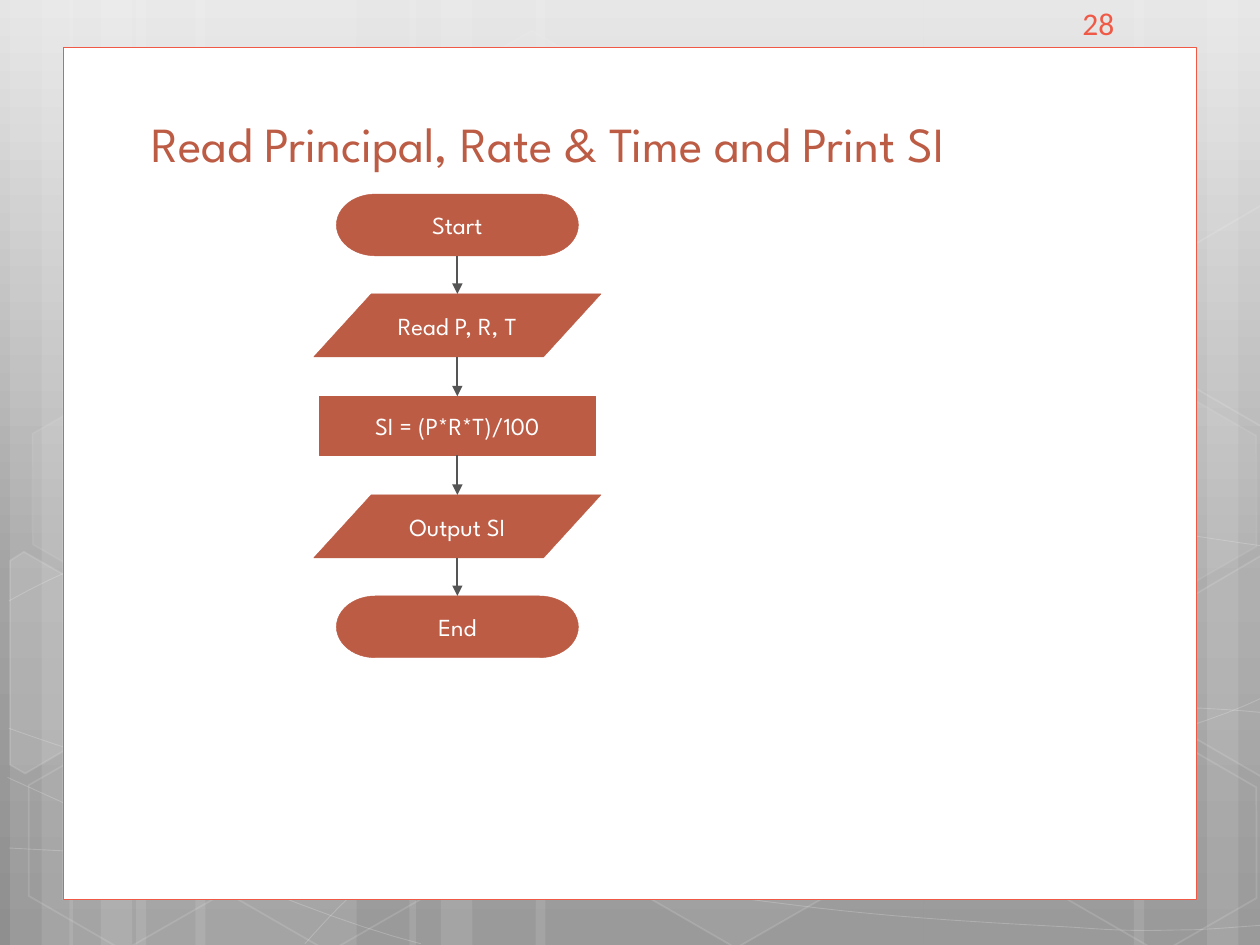
import dataclasses
import itertools

import lxml.etree
import pptx
import pptx.dml.color
import pptx.enum.shapes
import pptx.enum.text
import pptx.oxml
import pptx.oxml.ns
import pptx.util
from pptx.util import Inches

SHAPE = pptx.enum.shapes.MSO_SHAPE
ALIGN = pptx.enum.text.PP_ALIGN
ANCHOR = pptx.enum.text.MSO_ANCHOR
qn = pptx.oxml.ns.qn


@dataclasses.dataclass(frozen=True)
class Theme:
    """Colours, fonts and type sizes of the slide."""
    white: str = "FFFFFF"
    rust: str = "BD5C45"
    coral: str = "EF5946"
    arrow: str = "555555"
    backdrop: tuple = ((0, "E5E5E5"), (62, "A3A3A3"), (100, "8F8F8F"))
    font: str = "League Spartan"
    number_font: str = "Calibri"
    title_size: int = 28
    step_size: int = 14
    number_size: int = 18


THEME = Theme()

BANDS = [(1.08, 1.75), (0.08, 0.5), (0.33, 0.83), (1.55, 1.75), (0.55, 0.5), (0.8, 0.83),
         (7.33, 1.75), (9.58, 0.5), (9, 0.83), (4.25, 3.08), (3.25, 0.5), (3.5, 0.83)]

CURVES = [
    [(0.07, 6.73), (0.61, 6.76), (1.15, 6.79), (1.9, 6.78), (2.65, 6.77), (3.58, 6.75), (4.58, 6.65),
     (5.58, 6.55), (7, 6.36), (7.92, 6.17), (8.83, 5.98), (9.77, 5.68), (10.07, 5.51)],
    [(0.07, 4.77), (0.36, 4.61), (0.65, 4.46), (1.21, 4.31), (1.78, 4.16), (2.59, 3.94), (3.47, 3.87),
     (4.36, 3.8), (5.44, 3.79), (6.54, 3.87), (7.64, 3.95), (9.47, 4.26), (10.07, 4.34)],
    [(0.06, 6.17), (1.27, 6.72), (2.47, 7.27), (3.34, 7.49)],
    [(0.07, 5.78), (0.38, 5.89), (0.7, 6), (1.28, 6.16), (1.86, 6.31), (2.73, 6.56), (3.57, 6.73),
     (4.4, 6.9), (5.45, 7.08), (6.28, 7.18), (7.11, 7.29), (8, 7.33), (8.53, 7.36),
     (9.05, 7.4), (9.19, 7.38), (9.45, 7.38), (9.71, 7.37), (9.89, 7.35), (10.07, 7.34)],
    [(2.42, 7.49), (2.6, 7.29), (2.78, 7.09), (3.02, 6.91), (3.26, 6.73), (3.6, 6.53), (3.88, 6.39),
     (4.16, 6.25), (4.33, 6.19), (4.7, 6.09), (5.06, 5.99), (5.73, 5.85), (6.08, 5.78),
     (6.44, 5.71), (6.49, 5.71), (6.8, 5.69), (7.11, 5.66), (7.6, 5.63), (7.94, 5.62),
     (8.29, 5.61), (8.86, 5.62), (8.86, 5.62), (8.86, 5.62), (9.53, 5.62), (9.53, 5.62),
     (9.71, 5.63), (9.88, 5.64), (10.06, 5.66)],
]

HEXAGONS = [(3.34, 0.36, 4, 8), (4.97, 5.89, 6, 12), (0.11, 5.91, 0, 12), (0.14, 3.12, 7, 8),
            (1.74, 5.92, 0, 12), (7.53, 4.53, 10, 12), (8.34, 5.93, 0, 12), (8.34, 3.14, 7, 8)]

CLIPPED_HEXAGONS = [
    ([(0.08, 4.45), (0.19, 4.38), (0.96, 4.82), (0.95, 5.7), (0.2, 6.14), (0.08, 6.07)], 10),
    ([(9.26, 4.85), (10.01, 4.41), (10.09, 4.46), (10.09, 6.13), (10.02, 6.17), (9.26, 5.73)], 4),
    ([(9.26, 2.07), (10.01, 1.63), (10.1, 1.68), (10.09, 3.35), (10.02, 3.39), (9.26, 2.95)], 0),
]

TERMINAL = (SHAPE.FLOWCHART_TERMINATOR, 1.92, 0.49)
DATA = (SHAPE.FLOWCHART_DATA, 2.28, 0.5)
PROCESS = (SHAPE.RECTANGLE, 2.19, 0.47)
STEPS = [("Start", TERMINAL), ("Read P, R, T", DATA), ("SI = (P*R*T)/100", PROCESS),
         ("Output SI", DATA), ("End", TERMINAL)]


def rgb(colour):
    """Turn a hex string into a colour."""
    return pptx.dml.color.RGBColor.from_string(colour)


def paint(part, fill=None, line=None, width=0.25, fill_alpha=100, line_alpha=100):
    """Set fill, outline and opacity of a shape and drop its shadow."""
    part.shadow.inherit = False
    for target, colour, alpha in ((part.fill, fill, fill_alpha), (part.line.fill, line, line_alpha)):
        if colour is None or alpha == 0:
            target.background()
            continue
        target.solid()
        target.fore_color.rgb = rgb(colour)
        if alpha < 100:
            owner = part.line._get_or_add_ln() if target is part.line.fill else part._element.spPr
            tint = owner.find(qn("a:solidFill")).find(qn("a:srgbClr"))
            lxml.etree.SubElement(tint, qn("a:alpha"), val=str(alpha * 1000))
    if line:
        part.line.width = pptx.util.Pt(width)


def write(part, words, font, size, colour, align, anchor):
    """Put one formatted line of text in a shape."""
    frame = part.text_frame
    frame.text = words
    frame.vertical_anchor = anchor
    frame.margin_left = frame.margin_right = frame.margin_top = frame.margin_bottom = Inches(0.05)
    frame.paragraphs[0].alignment = align
    letters = frame.paragraphs[0].runs[0].font
    letters.name, letters.size, letters.color.rgb = font, pptx.util.Pt(size), rgb(colour)


def outline(slide, points, close):
    """Draw a freeform through points given in inches."""
    start, *rest = [(Inches(x), Inches(y)) for x, y in points]
    builder = slide.shapes.build_freeform(*start)
    builder.add_line_segments(rest, close=close)
    return builder.convert_to_shape()


def bezier(controls, steps=12):
    """Sample a chain of cubic curves."""
    points = [controls[0]]
    for first in range(0, len(controls) - 1, 3):
        for step in range(1, steps + 1):
            t = step / steps
            weights = ((1 - t) ** 3, 3 * t * (1 - t) ** 2, 3 * t * t * (1 - t), t ** 3)
            corners = controls[first:first + 4]
            points.append(tuple(sum(w * c[axis] for w, c in zip(weights, corners)) for axis in (0, 1)))
    return points


def add_backdrop(slide, height):
    """Fill the background and lay bands, curves and hexagons over it."""
    fill = slide.background.fill
    fill.gradient()
    fill.gradient_angle = 270
    stops = slide.background._cSld.find(".//" + qn("a:gsLst"))
    for stop in list(stops):
        stops.remove(stop)
    for position, colour in THEME.backdrop:
        stop = lxml.etree.SubElement(stops, qn("a:gs"), pos=str(position * 1000))
        lxml.etree.SubElement(stop, qn("a:srgbClr"), val=colour)
    for left, width in BANDS:
        band = slide.shapes.add_shape(SHAPE.RECTANGLE, Inches(left), 0, Inches(width), height)
        paint(band, THEME.white, fill_alpha=10)
    for controls in CURVES:
        paint(outline(slide, bezier(controls), False), None, THEME.white, 0.5, line_alpha=20)
    for left, top, fill_alpha, line_alpha in HEXAGONS:
        hexagon = slide.shapes.add_shape(SHAPE.HEXAGON, Inches(left), Inches(top), Inches(1.75), Inches(1.52))
        hexagon.adjustments[0] = 0.29
        hexagon.rotation = 30
        paint(hexagon, THEME.white, THEME.white, 1, fill_alpha, line_alpha)
    for corners, fill_alpha in CLIPPED_HEXAGONS:
        paint(outline(slide, corners, True), THEME.white, THEME.white, 1, fill_alpha, 12)


def add_panel(slide, left, top, width, height):
    """Place the white panel, the title and the page number."""
    panel = slide.shapes.add_shape(SHAPE.RECTANGLE, left, top, width, height)
    paint(panel, THEME.white, THEME.coral, 0.5)
    title = slide.shapes.title
    slide.shapes._spTree.append(title._element)
    title.left, title.top = left + Inches(0.65), top + Inches(0.41)
    title.width, title.height = Inches(7.85), Inches(0.63)
    write(title, "Read Principal, Rate & Time and Print SI", THEME.font, THEME.title_size,
          THEME.rust, ALIGN.LEFT, ANCHOR.BOTTOM)
    number = slide.shapes.add_textbox(left + Inches(8.04), top - Inches(0.4), Inches(0.39), Inches(0.41))
    write(number, "28", THEME.number_font, THEME.number_size, THEME.coral, ALIGN.LEFT, ANCHOR.TOP)
    number.text_frame.word_wrap = False


def add_arrow(slide, upper, lower):
    """Point an arrow from one step down to the next."""
    centre = upper.left + upper.width // 2
    arrow = slide.shapes.add_connector(pptx.enum.shapes.MSO_CONNECTOR.STRAIGHT, centre,
                                       upper.top + upper.height, centre, lower.top)
    if upper.auto_shape_type != SHAPE.FLOWCHART_DATA:
        arrow.begin_connect(upper, 2)
    if lower.auto_shape_type != SHAPE.FLOWCHART_DATA:
        arrow.end_connect(lower, 0)
    arrow.line.color.rgb = rgb(THEME.arrow)
    arrow.line.width = pptx.util.Pt(1.25)
    lxml.etree.SubElement(arrow.line._get_or_add_ln(), qn("a:tailEnd"), type="triangle")
    lxml.etree.SubElement(arrow._element.spPr, qn("a:effectLst"))


def add_flowchart(slide, left, top, width, height):
    """Stack the steps at an equal pitch inside the box and join them."""
    first_height, last_height = Inches(STEPS[0][1][2]), Inches(STEPS[-1][1][2])
    pitch = (height - (first_height + last_height) // 2) // (len(STEPS) - 1)
    boxes = []
    for index, (words, (kind, step_width, step_height)) in enumerate(STEPS):
        step_width, step_height = Inches(step_width), Inches(step_height)
        middle = top + first_height // 2 + index * pitch
        step = slide.shapes.add_shape(kind, left + (width - step_width) // 2, middle - step_height // 2,
                                      step_width, step_height)
        paint(step, THEME.rust, THEME.rust)
        write(step, words, THEME.font, THEME.step_size, THEME.white, ALIGN.CENTER, ANCHOR.MIDDLE)
        boxes.append(step)
    for upper, lower in itertools.pairwise(boxes):
        add_arrow(slide, upper, lower)


def main():
    """Build the slide and save it."""
    deck = pptx.Presentation()
    deck.slide_width, deck.slide_height = Inches(10), Inches(7.5)
    slide = deck.slides.add_slide(deck.slide_layouts[5])
    add_backdrop(slide, deck.slide_height)
    add_panel(slide, Inches(0.5), Inches(0.38), Inches(9), Inches(6.76))
    add_flowchart(slide, Inches(2.49), Inches(1.54), Inches(2.28), Inches(3.68))
    deck.save("out.pptx")


if __name__ == "__main__":
    main()
